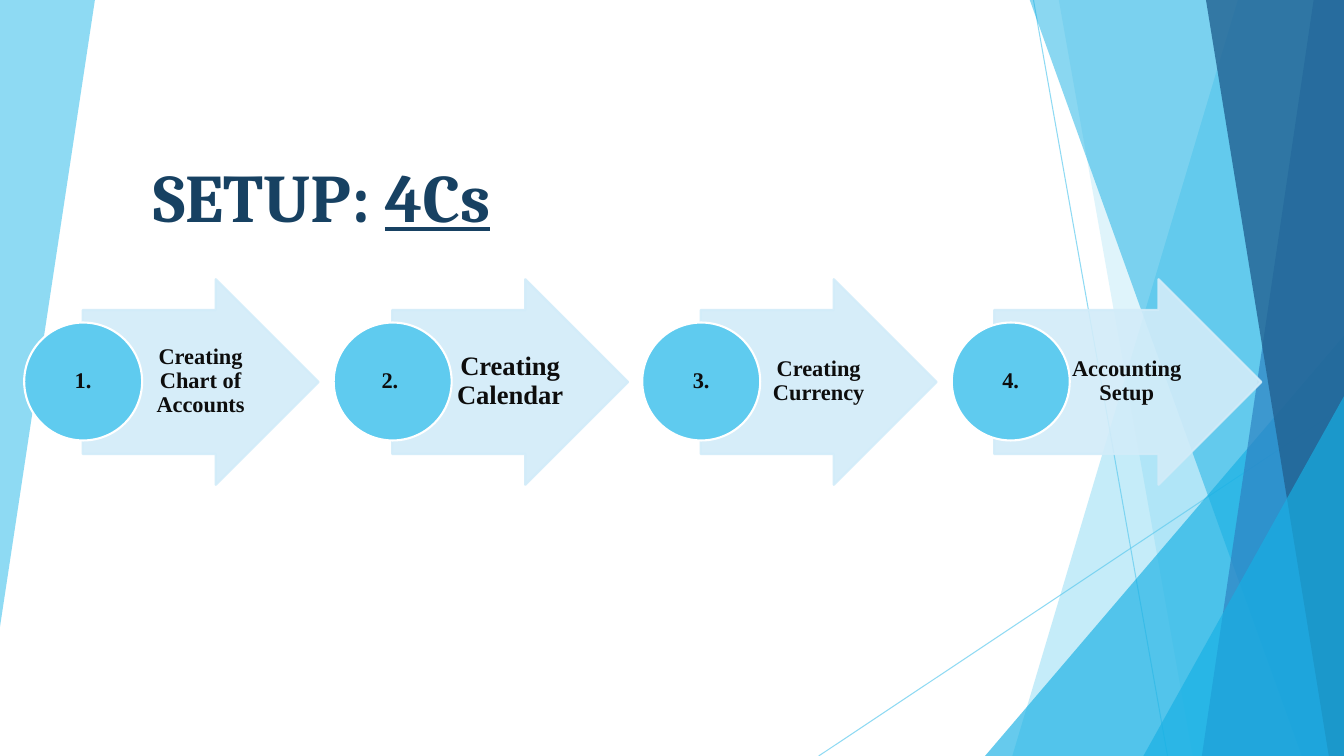
from lxml import etree
from pptx import Presentation
from pptx import util as u
from pptx.dml.color import RGBColor
from pptx.enum import shapes, text
from pptx.oxml import ns

PX = u.Inches(1) // 100
WIDTH, HEIGHT = 1333, 750

SKY = RGBColor(0x5F, 0xCB, 0xEF)
CYAN = RGBColor(0x17, 0xB0, 0xE4)
BLUE = RGBColor(0x2E, 0x83, 0xC3)
DEEP_BLUE = RGBColor(0x22, 0x62, 0x92)
NAVY = RGBColor(0x17, 0x41, 0x62)
PALE = RGBColor(0xD2, 0xEC, 0xF9)
INK = RGBColor(0x0D, 0x0D, 0x0D)
WHITE = RGBColor(0xFF, 0xFF, 0xFF)

RAYS = [
    ((10.25, 0), (11.58, 7.5)),
    ((13.33, 4.03), (8.12, 7.5)),
]
RAYS = [((1025, 0), (1158, 750)), ((1333, 403), (812, 750))]
LEFT_FACET = [(0, 0), (94, -1), (94, 1), (0, 622)]
BACK_FACETS = [(1228, 1004, SKY, 36), (1050, 1183, SKY, 20)]
FRONT_FACETS = [
    (1021, 1291, CYAN, 50),
    (1303, 1192, BLUE, 70),
    (1196, 1318, DEEP_BLUE, 80),
]

CIRCLE_TOP, CIRCLE_SIZE, NUMBER_INSET = 320, 117, 17
FIRST_CIRCLE, LAST_CIRCLE = 24, 944
STEPS = [
    ("1.", "Creating Chart of Accounts", 16, 58, 234, 117, 114),
    ("2. ", "Creating Calendar", 19, 58, 234, 117, 114),
    ("3.", "Creating Currency", 16, 58, 234, 117, 114),
    ("4.", "Accounting Setup", 16, 42, 265, 108, 129),
]


def px(*lengths):
    return [length * PX for length in lengths]


def fade(shape, opacity):
    for color in shape.element.iter(ns.qn("a:srgbClr")):
        etree.SubElement(color, ns.qn("a:alpha"), val=str(opacity * 1000))


def paint(shape, fill, opacity=100, outline=None):
    shape.shadow.inherit = False
    shape.fill.solid()
    shape.fill.fore_color.rgb = fill
    if outline is None:
        shape.line.fill.background()
    else:
        shape.line.color.rgb = outline
        shape.line.width = u.Pt(1.5)
    if opacity < 100:
        fade(shape, opacity)


def add_ray(slide, start, end):
    ray = slide.shapes.add_connector(
        shapes.MSO_CONNECTOR.STRAIGHT, *px(*start, *end))
    ray.line.color.rgb = SKY
    ray.line.width = u.Pt(0.75)
    fade(ray, 70)
    etree.SubElement(ray.element.spPr, ns.qn("a:effectLst"))


def add_facet(slide, points, color, opacity):
    builder = slide.shapes.build_freeform(*points[0], scale=PX)
    builder.add_line_segments(points[1:], close=True)
    paint(builder.convert_to_shape(), color, opacity)


def add_edge_facet(slide, top_x, bottom_x, color, opacity):
    corners = [(top_x, -1), (WIDTH, -1), (WIDTH, HEIGHT), (bottom_x, HEIGHT)]
    add_facet(slide, corners, color, opacity)


def add_corner(slide, left, top):
    corner = slide.shapes.add_shape(
        shapes.MSO_SHAPE.ISOSCELES_TRIANGLE,
        *px(left, top, WIDTH - left, HEIGHT - top))
    corner.adjustments[0] = 1
    paint(corner, CYAN, 66)


def add_backdrop(slide):
    add_facet(slide, LEFT_FACET, SKY, 70)
    for start, end in RAYS:
        add_ray(slide, start, end)
    for facet in BACK_FACETS:
        add_edge_facet(slide, *facet)
    add_corner(slide, 977, 333)
    for facet in FRONT_FACETS:
        add_edge_facet(slide, *facet)
    add_corner(slide, 1134, 393)


def add_label(slide, wording, size, box, insets):
    frame = slide.shapes.add_textbox(*px(*box)).text_frame
    frame.word_wrap = True
    frame.vertical_anchor = text.MSO_ANCHOR.MIDDLE
    frame.margin_left, frame.margin_right = px(*insets)
    frame.margin_top = frame.margin_bottom = PX
    frame.text = wording
    paragraph = frame.paragraphs[0]
    paragraph.alignment = text.PP_ALIGN.CENTER
    paragraph.line_spacing = 0.9
    font = paragraph.runs[0].font
    font.name, font.size, font.bold = "Times New Roman", u.Pt(size), True
    font.color.rgb = INK


def add_step(slide, left, number, wording, size,
             arrow_shift, arrow_width, label_shift, label_width):
    arrow = slide.shapes.add_shape(
        shapes.MSO_SHAPE.RIGHT_ARROW,
        *px(left + arrow_shift, 277, arrow_width, 204))
    arrow.adjustments[0] = 0.7
    arrow.adjustments[1] = 0.5
    paint(arrow, PALE, 90, PALE)
    add_label(slide, wording, size,
              (left + label_shift, 307, label_width, 143), (4, 2))

    circle = slide.shapes.add_shape(
        shapes.MSO_SHAPE.OVAL,
        *px(left, CIRCLE_TOP, CIRCLE_SIZE, CIRCLE_SIZE))
    paint(circle, SKY, outline=WHITE)
    number_size = CIRCLE_SIZE - 2 * NUMBER_INSET
    add_label(slide, number, 16,
              (left + NUMBER_INSET, CIRCLE_TOP + NUMBER_INSET,
               number_size, number_size), (1, 1))


def set_title(slide):
    title = slide.shapes.title
    title.left, title.top, title.width, title.height = px(83, 140, 472, 99)
    frame = title.text_frame
    frame.word_wrap = True
    frame.auto_size = text.MSO_AUTO_SIZE.NONE
    frame.vertical_anchor = text.MSO_ANCHOR.BOTTOM
    paragraph = frame.paragraphs[0]
    paragraph.alignment = text.PP_ALIGN.CENTER
    for wording, underlined in [("SETUP: ", False), ("4Cs", True)]:
        run = paragraph.add_run()
        run.text = wording
        font = run.font
        font.name, font.size, font.bold = "Cambria", u.Pt(48.6), True
        font.underline = underlined
        font.color.rgb = NAVY


def main():
    deck = Presentation()
    deck.slide_width, deck.slide_height = px(WIDTH, HEIGHT)
    slide = deck.slides.add_slide(deck.slide_layouts[5])
    add_backdrop(slide)
    set_title(slide)
    pitch = (LAST_CIRCLE - FIRST_CIRCLE) / (len(STEPS) - 1)
    for index, step in enumerate(STEPS):
        add_step(slide, round(FIRST_CIRCLE + index * pitch), *step)
    deck.save("out.pptx")


if __name__ == "__main__":
    main()
